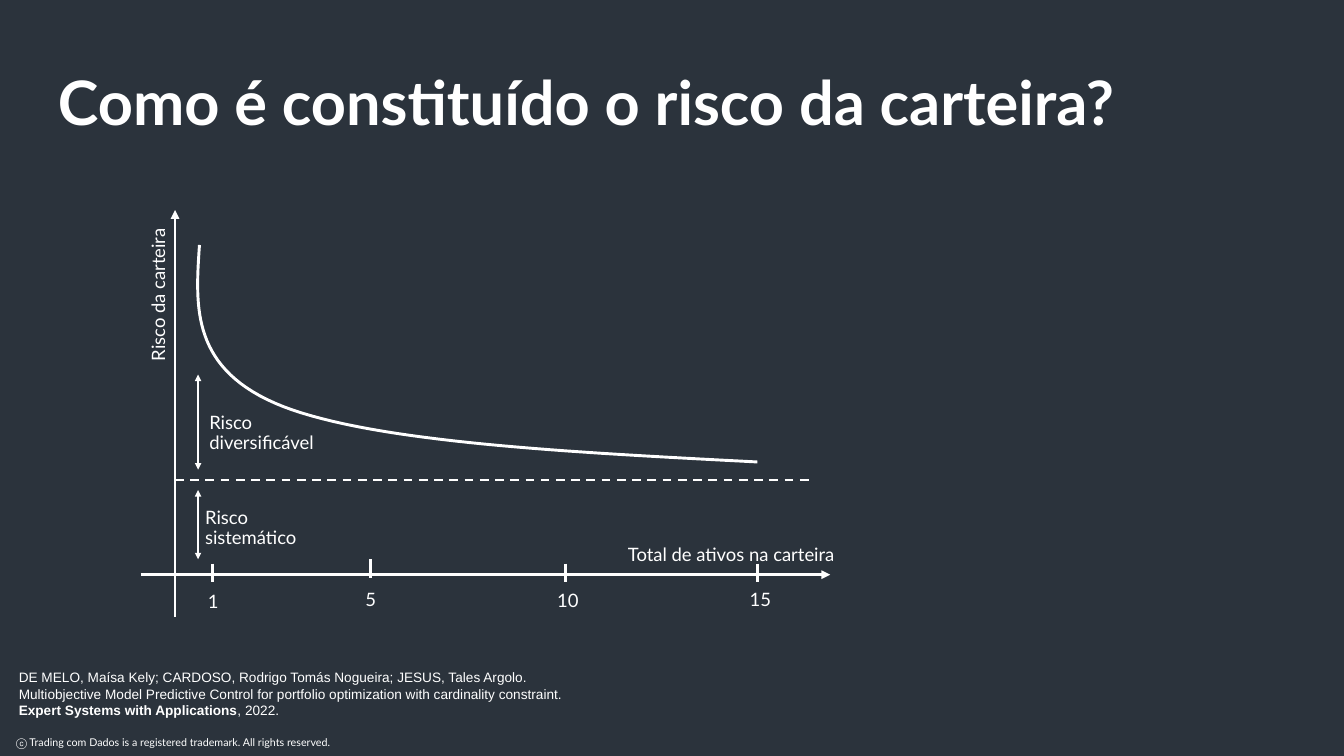
from lxml import etree
from pptx import Presentation
from pptx.dml.color import RGBColor
from pptx.enum.dml import MSO_LINE
from pptx.enum.shapes import MSO_CONNECTOR
from pptx.enum.text import MSO_ANCHOR
from pptx.oxml.ns import qn
from pptx.util import Inches, Pt

STRAIGHT = MSO_CONNECTOR.STRAIGHT
DASH = MSO_LINE.DASH
TOP, BOTTOM = MSO_ANCHOR.TOP, MSO_ANCHOR.BOTTOM
DARK = RGBColor(0x2B, 0x33, 0x3C)
WHITE = RGBColor(0xFF, 0xFF, 0xFF)

TITLE = "Como é constituído o risco da carteira?"
RIGHTS = "ⓒ Trading com Dados is a registered trademark. All rights reserved."
SOURCE = [
    ("DE MELO, Maísa Kely; CARDOSO, Rodrigo Tomás Nogueira; JESUS, Tales Argolo. "
     "Multiobjective Model Predictive Control for portfolio optimization with "
     "cardinality constraint. ", False),
    ("Expert Systems with Applications", True),
    (", 2022.", False),
]

# Text lines, left, top, width, rotation
LABELS = [
    (["Risco da carteira"], 0.36, 2.91, 4.02, 270),
    (["Total de ativos na carteira"], 8.91, 7.74, 4.02, 0),
    (["Risco", "sistemático"], 2.87, 7.21, 4.02, 0),
    (["Risco", "diversificável"], 2.93, 5.85, 4.02, 0),
]
# Number, tick x, tick top, label left, label top
TICKS = [
    ("1", 3.04, 8.05, 2.91, 8.41),
    ("5", 5.29, 7.99, 5.16, 8.38),
    ("10", 8.08, 8.05, 7.9, 8.39),
    ("15", 10.82, 8.05, 10.65, 8.37),
]
TICK = 0.27
# Start, end, weight, arrowheads
AXES = [
    ((2.5, 8.81), (2.5, 3), 3, ["tailEnd"]),
    ((2.01, 8.21), (11.86, 8.21), 3, ["tailEnd"]),
]
SPANS = [
    ((2.83, 5.35), (2.83, 6.71), 2.25, ["headEnd", "tailEnd"]),
    ((2.83, 7), (2.83, 7.99), 2.25, ["headEnd", "tailEnd"]),
]
FLOOR = ((2.5, 6.86), (11.56, 6.86), 2.25)
# Cubic Bezier pieces of the risk curve
CURVE = [
    [(2.85, 3.5), (2.79, 4.39), (2.72, 5.29), (4.05, 5.81)],
    [(4.05, 5.81), (5.38, 6.32), (8.1, 6.46), (10.82, 6.6)],
]
STEPS = 32

prs = Presentation()
prs.slide_width, prs.slide_height = Inches(19.2), Inches(10.8)
slide = prs.slides.add_slide(prs.slide_layouts[6])
slide.background.fill.solid()
slide.background.fill.fore_color.rgb = DARK
shapes = slide.shapes


def add_text(lines, box, size, font="Lato", bold=None, pad=(0.06, 0.06),
             space=0.9, anchor=TOP):
    """Add a text box; each line is a list of (text, bold) runs or a string."""
    shape = shapes.add_textbox(*map(Inches, box))
    frame = shape.text_frame
    frame.word_wrap = True
    frame.vertical_anchor = anchor
    frame.margin_left = frame.margin_right = Inches(pad[0])
    frame.margin_top = frame.margin_bottom = Inches(pad[1])
    for i, line in enumerate(lines):
        para = frame.add_paragraph() if i else frame.paragraphs[0]
        para.line_spacing = space
        para.font.name, para.font.size = font, Pt(size)
        para.font.bold = bold
        para.font.color.rgb = WHITE
        for text, strong in [(line, bold)] if isinstance(line, str) else line:
            run = para.add_run()
            run.text = text
            run.font.bold = strong
    return shape


def add_line(start, end, weight, heads=(), dash=None):
    line = shapes.add_connector(STRAIGHT, *map(Inches, start + end))
    line.line.color.rgb = WHITE
    line.line.width = Pt(weight)
    if dash:
        line.line.dash_style = dash
    props = line._element.spPr
    for head in heads:
        etree.SubElement(props.find(qn("a:ln")), qn("a:" + head), type="triangle")
    etree.SubElement(props, qn("a:effectLst"))


def bezier(knots, t):
    weights = ((1 - t) ** 3, 3 * t * (1 - t) ** 2, 3 * t ** 2 * (1 - t), t ** 3)
    return tuple(Inches(sum(w * k[axis] for w, k in zip(weights, knots)))
                 for axis in (0, 1))


def add_curve():
    points = [bezier(piece, i / STEPS) for piece in CURVE
              for i in range(1, STEPS + 1)]
    path = shapes.build_freeform(*map(Inches, CURVE[0][0]))
    path.add_line_segments(points, close=False)
    curve = path.convert_to_shape()
    curve.shadow.inherit = False
    curve.fill.background()
    curve.line.color.rgb = WHITE
    curve.line.width = Pt(3)


add_text([RIGHTS], (0.17, 10.47, 15, 0.5), 11)
add_text([TITLE], (0.73, 0.56, 15.98, 1.51), 63, bold=True, pad=(0.1, 0.1),
         space=1.0, anchor=BOTTOM)

for axis in AXES + SPANS:
    add_line(*axis)
add_line(*FLOOR, dash=DASH)
add_curve()

for number, x, top, left, label_top in TICKS:
    add_line((x, top), (x, top + TICK), 3)
    add_text([number], (left, label_top, 0.69, 0.6), 19)
for lines, left, top, width, turn in LABELS:
    add_text(lines, (left, top, width, 0.6), 19).rotation = turn

add_text([SOURCE], (0.17, 9.51, 8.06, 0.81), 14, font="Arial",
         pad=(0.1, 0.05), space=1.0)

prs.save("out.pptx")
